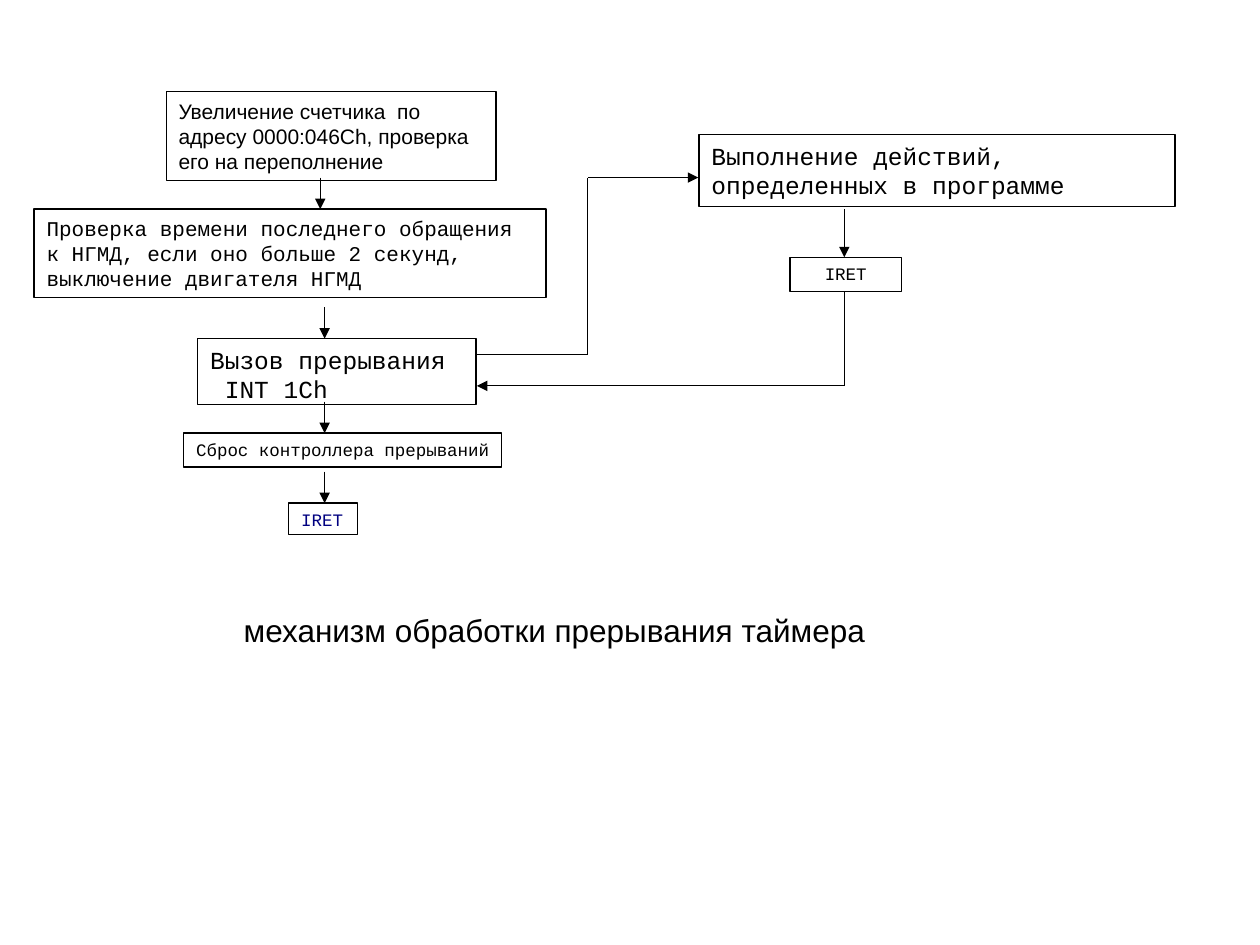
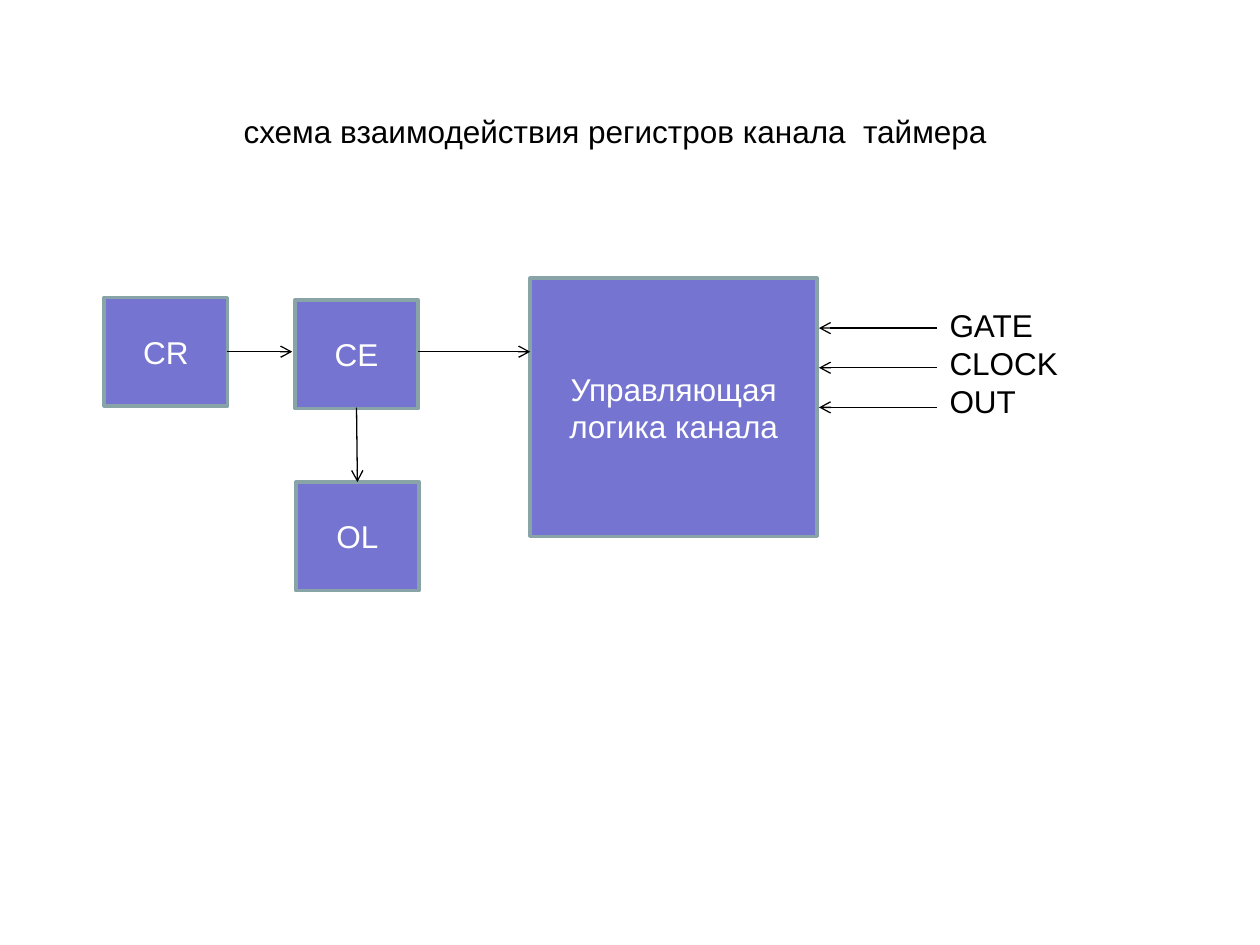
from lxml.etree import SubElement
from pptx import Presentation
from pptx.dml.color import RGBColor
from pptx.enum.shapes import MSO_CONNECTOR, MSO_SHAPE
from pptx.enum.text import MSO_ANCHOR, MSO_AUTO_SIZE, PP_ALIGN
from pptx.oxml.ns import qn
from pptx.util import Pt

# Shared style
BLACK = RGBColor(0x00, 0x00, 0x00)
WHITE = RGBColor(0xFF, 0xFF, 0xFF)
NAVY = RGBColor(0x00, 0x00, 0x80)
VIOLET = RGBColor(0x75, 0x75, 0xD1)
GREY_GREEN = RGBColor(0x89, 0xA4, 0xA7)
SANS = "Arial"
MONO = "Courier New"
THIN = 0.74
THICK = 2
TITLE_SIZE = 18
TITLE_LEFT = 132
TITLE_HEIGHT = 29


def write_text(shape, text, size, font=SANS, color=BLACK,
               align=PP_ALIGN.LEFT, anchor=MSO_ANCHOR.TOP, wrap=True):
    frame = shape.text_frame
    frame.text = text
    frame.word_wrap = wrap
    frame.auto_size = MSO_AUTO_SIZE.NONE
    frame.vertical_anchor = anchor
    for paragraph in frame.paragraphs:
        paragraph.alignment = align
        paragraph.line_spacing = 1.0
        paragraph.space_before = Pt(0)
        for run in paragraph.runs:
            run.font.size = Pt(size)
            run.font.name = font
            run.font.color.rgb = color


def add_titled_slide(presentation, title, top, width):
    slide = presentation.slides.add_slide(presentation.slide_layouts[5])
    shape = slide.shapes.title
    shape.left, shape.top = Pt(TITLE_LEFT), Pt(top)
    shape.width, shape.height = Pt(width), Pt(TITLE_HEIGHT)
    write_text(shape, title, TITLE_SIZE)
    return slide


def add_box(slide, left, top, width, height, fill=WHITE, outline=BLACK,
            weight=THIN):
    shape = slide.shapes.add_shape(MSO_SHAPE.RECTANGLE, Pt(left), Pt(top),
                                   Pt(width), Pt(height))
    shape.shadow.inherit = False
    shape.fill.solid()
    shape.fill.fore_color.rgb = fill
    shape.line.color.rgb = outline
    shape.line.width = Pt(weight)
    return shape


def add_line(slide, start, end, head=None):
    connector = slide.shapes.add_connector(
        MSO_CONNECTOR.STRAIGHT, *(Pt(value) for value in (*start, *end)))
    connector.line.color.rgb = BLACK
    connector.line.width = Pt(THIN)
    properties = connector._element.spPr
    if head:
        SubElement(properties.find(qn("a:ln")), qn("a:tailEnd"), type=head)
    SubElement(properties, qn("a:effectLst"))


def add_path(slide, points, head):
    """Draw straight segments; only the last one carries the arrowhead."""
    for index in range(len(points) - 1):
        last = index == len(points) - 2
        add_line(slide, points[index], points[index + 1],
                 head if last else None)


def add_interrupt_steps(slide, left, top):
    """Column of steps, each entered by a short arrow from above."""
    axis, arrow_length = left + 166, 18
    # Offset, size, text, font size, font, colour, wrap
    steps = [
        (75.5, 0, 188.5, 50.5, "Увеличение счетчика  по адресу 0000:046Ch, "
         "проверка его на переполнение", 12, SANS, BLACK, True),
        (0, 67, 292.5, 50.5, "Проверка времени последнего обращения к НГМД, "
         "если оно больше 2 секунд, выключение двигателя НГМД",
         12, MONO, BLACK, True),
        (93.5, 141, 159, 37.5, "Вызов прерывания\n INT 1Ch",
         14, MONO, BLACK, True),
        (85.5, 195, 181.5, 19.5, "Сброс контроллера прерываний",
         10, MONO, BLACK, False),
        (145.5, 235, 39.5, 18, "IRET", 10, MONO, NAVY, False),
    ]
    for x, y, width, height, text, size, font, color, wrap in steps:
        box = add_box(slide, left + x, top + y, width, height)
        write_text(box, text, size, font, color, wrap=wrap)
    for index, step in enumerate(steps[1:]):
        x = axis - 2.5 if index == 0 else axis
        y = top + step[1]
        add_line(slide, (x, y - arrow_length), (x, y), "triangle")


def add_user_handler(slide, left, top):
    """Handler in the program, with its return instruction below."""
    action = add_box(slide, left, top, 272, 41)
    write_text(action, "Выполнение действий, определенных в программе",
               14, MONO)
    finish = add_box(slide, left + 52, top + 70, 63.5, 19.5)
    write_text(finish, "IRET", 10, MONO, align=PP_ALIGN.CENTER)
    axis = left + 83
    add_line(slide, (axis, top + 42.5), (axis, top + 70), "triangle")


def add_call_and_return(slide, left, right, bend, axis):
    """Routes from the interrupt call to the handler and back."""
    add_path(slide, [(left, 202.5), (bend, 202.5), (bend, 101.5),
                     (right, 101.5)], "triangle")
    add_path(slide, [(axis, 166.5), (axis, 220.5), (left, 220.5)], "triangle")


def add_register(slide, left, top, name, width=70.5, height=62):
    box = add_box(slide, left, top, width, height, VIOLET, GREY_GREEN, THICK)
    write_text(box, name, 18, color=WHITE, align=PP_ALIGN.CENTER,
               anchor=MSO_ANCHOR.MIDDLE)


def add_registers(slide, left, top):
    """Channel registers and the logic block, joined by arrows."""
    add_register(slide, left, top + 11, "CR")
    add_register(slide, left + 109, top + 12.5, "CE")
    add_register(slide, left + 109.5, top + 116.5, "OL")
    add_register(slide, left + 243.5, top, "Управляющая логика канала",
                 164, 147.5)
    for start, end in [((70, 42), (107.5, 42)), ((179.5, 42), (243.5, 42)),
                       ((144.25, 74), (144.75, 116.5))]:
        add_line(slide, (left + start[0], top + start[1]),
                 (left + end[0], top + end[1]), "arrow")


def add_signals(slide, left, top):
    """Signal names, each with an arrow to the logic block."""
    names = ["GATE", "CLOCK", "OUT"]
    arrow_length, pitch = 67.5, 22.65
    label = slide.shapes.add_textbox(Pt(left), Pt(top), Pt(101.5), Pt(93.5))
    write_text(label, "\n".join(names), 18)
    for index in range(len(names)):
        y = top + 16 + index * pitch
        add_line(slide, (left, y), (left - arrow_length, y), "arrow")


def build_interrupt_slide(presentation):
    slide = add_titled_slide(
        presentation, "механизм обработки прерывания таймера", 345.5, 376)
    add_interrupt_steps(slide, 19.5, 52.5)
    add_user_handler(slide, 399.5, 77)
    add_call_and_return(slide, 272.5, 399, 335.75, 482.5)


def build_register_slide(presentation):
    slide = add_titled_slide(
        presentation, "схема взаимодействия регистров канала  таймера",
        60.5, 445)
    add_registers(slide, 59.5, 159)
    add_signals(slide, 535.5, 171.5)


presentation = Presentation()
presentation.slide_width, presentation.slide_height = Pt(720), Pt(540)
build_interrupt_slide(presentation)
build_register_slide(presentation)
presentation.save("out.pptx")
